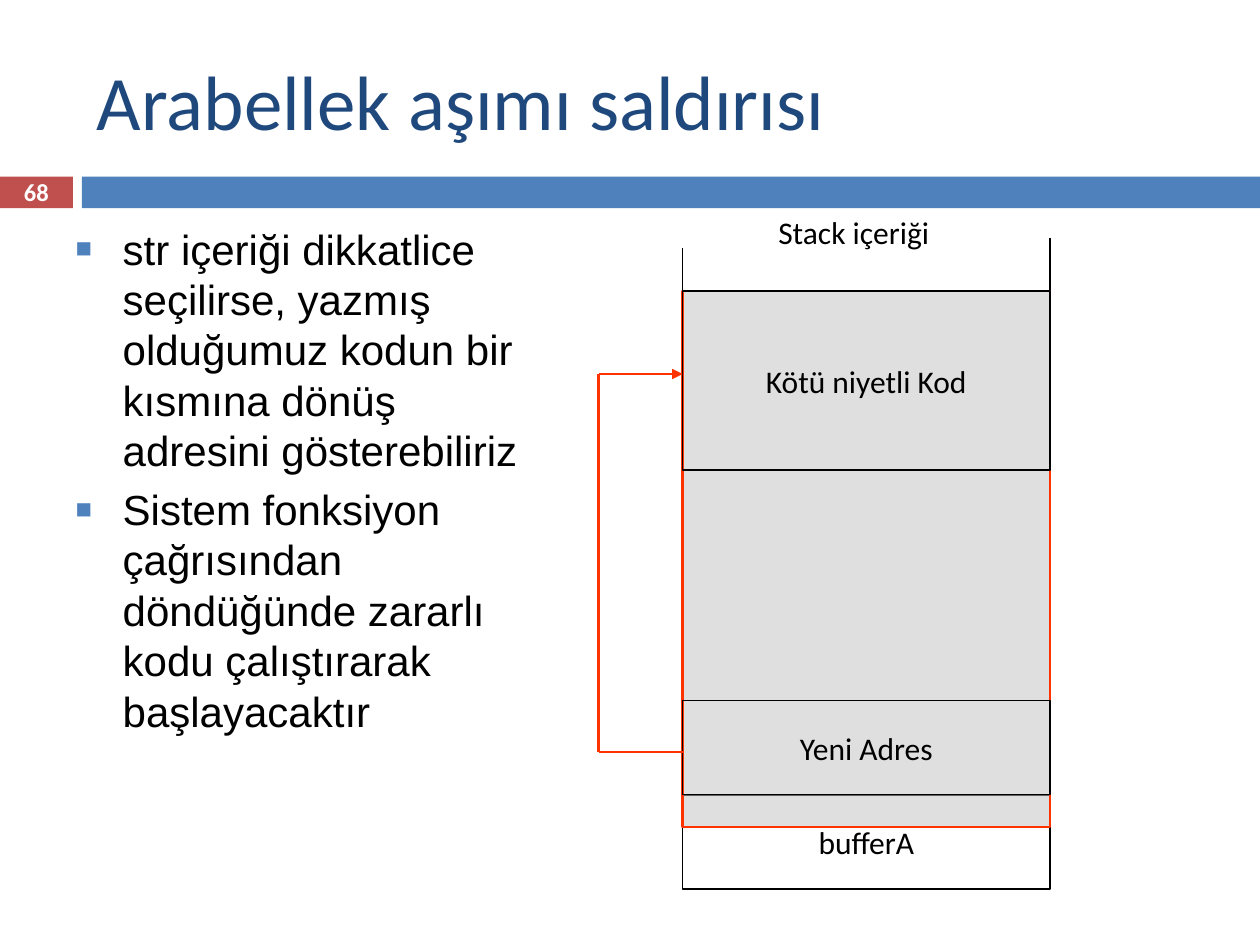
from lxml.etree import SubElement
from pptx import Presentation
from pptx.dml.color import RGBColor
from pptx.enum.shapes import MSO_CONNECTOR, MSO_SHAPE
from pptx.enum.text import MSO_ANCHOR, MSO_AUTO_SIZE, PP_ALIGN
from pptx.oxml.ns import qn
from pptx.util import Cm, Pt

BLACK = RGBColor(0x00, 0x00, 0x00)
WHITE = RGBColor(0xFF, 0xFF, 0xFF)
NAVY = RGBColor(0x1F, 0x49, 0x7D)
BLUE = RGBColor(0x4F, 0x81, 0xBD)
BRICK = RGBColor(0xC0, 0x50, 0x4D)
RED = RGBColor(0xFF, 0x33, 0x00)
GREY = RGBColor(0xC0, 0xC0, 0xC0)

TITLE = "Arabellek aşımı saldırısı"
BULLETS = [
    "str içeriği dikkatlice seçilirse, yazmış olduğumuz kodun bir "
    "kısmına dönüş adresini gösterebiliriz",
    "Sistem fonksiyon çağrısından döndüğünde zararlı kodu çalıştırarak "
    "başlayacaktır",
]
PAGE_NUMBER = "68"
STACK_LABEL = "Stack içeriği"
BUFFER = ("bufferA", 16.03, 1.9)
OVERWRITTEN = [("Kötü niyetli Kod", 5.87, 3.6), ("Yeni Adres", 14.12, 1.9)]

PAGE_WIDTH = 25.4
STACK_LEFT, STACK_WIDTH = 13.76, 7.41
STACK_RIGHT = STACK_LEFT + STACK_WIDTH
STACK_BOTTOM = BUFFER[1] + BUFFER[2]
FLOOD_TOP, FLOOD_HEIGHT = 5.87, 10.8
JUMP_LEFT, JUMP_TOP, JUMP_BOTTOM = 12.07, 7.54, 15.16

STACK_EDGES = [
    (STACK_LEFT, STACK_BOTTOM, STACK_RIGHT, STACK_BOTTOM),
    (STACK_LEFT, 5.0, STACK_LEFT, STACK_BOTTOM),
    (STACK_RIGHT, 4.8, STACK_RIGHT, STACK_BOTTOM),
]
JUMP_LINES = [
    (STACK_LEFT, JUMP_BOTTOM, JUMP_LEFT, JUMP_BOTTOM),
    (JUMP_LEFT, JUMP_BOTTOM, JUMP_LEFT, JUMP_TOP),
    (JUMP_LEFT, JUMP_TOP, STACK_LEFT, JUMP_TOP),
]


def place(shape, left, top, width, height):
    shape.left, shape.top = Cm(left), Cm(top)
    shape.width, shape.height = Cm(width), Cm(height)


def write(para, text, size, color, font="Calibri", align=PP_ALIGN.LEFT, bold=False):
    para.text = text
    para.alignment = align
    para.font.name = font
    para.font.size = Pt(size)
    para.font.bold = bold
    para.font.color.rgb = color


def add_text(page, text, place_at, size, color, **style):
    box = page.shapes.add_textbox(*map(Cm, place_at))
    box.text_frame.word_wrap = True
    box.text_frame.vertical_anchor = MSO_ANCHOR.MIDDLE
    write(box.text_frame.paragraphs[0], text, size, color, **style)


def add_rectangle(page, left, top, width, height, fill=None, line=None, points=1):
    box = page.shapes.add_shape(
        MSO_SHAPE.RECTANGLE, Cm(left), Cm(top), Cm(width), Cm(height))
    box.shadow.inherit = False
    if fill is None:
        box.fill.background()
    else:
        box.fill.solid()
        box.fill.fore_color.rgb = fill
    if line is None:
        box.line.fill.background()
    else:
        box.line.color.rgb = line
        box.line.width = Pt(points)
    return box


def add_cell(page, text, top, height):
    box = add_rectangle(page, STACK_LEFT, top, STACK_WIDTH, height, line=BLACK)
    box.text_frame.word_wrap = False
    box.text_frame.vertical_anchor = MSO_ANCHOR.MIDDLE
    write(box.text_frame.paragraphs[0], text, 18, BLACK, align=PP_ALIGN.CENTER)


def add_line(page, ends, color, points):
    line = page.shapes.add_connector(MSO_CONNECTOR.STRAIGHT, *map(Cm, ends))
    line.line.color.rgb = color
    line.line.width = Pt(points)
    SubElement(line._element.spPr, qn("a:effectLst"))
    return line


def add_bullet(para):
    properties = para._p.get_or_add_pPr()
    properties.set("marL", str(Cm(0.95)))
    properties.set("indent", str(-Cm(0.95)))
    color = SubElement(properties, qn("a:buClr"))
    SubElement(color, qn("a:srgbClr"), val=str(BLUE))
    SubElement(properties, qn("a:buSzPct"), val="65000")
    SubElement(properties, qn("a:buFont"), typeface="Arial")
    SubElement(properties, qn("a:buChar"), char="■")


def fill_placeholders(page):
    title = page.shapes.title
    place(title, 1.7, 0.64, 22.66, 2.74)
    title.text_frame.auto_size = MSO_AUTO_SIZE.NONE
    title.text_frame.vertical_anchor = MSO_ANCHOR.MIDDLE
    write(title.text_frame.paragraphs[0], TITLE, 44, NAVY)

    body = page.placeholders[1]
    place(body, 1.27, 4.37, 9.53, 12.09)
    frame = body.text_frame
    frame.auto_size = MSO_AUTO_SIZE.NONE
    for index, text in enumerate(BULLETS):
        para = frame.add_paragraph() if index else frame.paragraphs[0]
        add_bullet(para)
        write(para, text, 24, BLACK, font="Arial")
        para.line_spacing = Pt(28.8)
        para.space_before = Pt(4.8 if index else 0)


def draw_stack(page):
    add_cell(page, *BUFFER)
    for ends in STACK_EDGES:
        add_line(page, ends, BLACK, 1)
    add_text(page, STACK_LABEL, (15.44, 4.17, 5.51, 1.02), 18, BLACK)

    flood = add_rectangle(page, STACK_LEFT, FLOOD_TOP, STACK_WIDTH, FLOOD_HEIGHT,
                          fill=GREY, line=RED, points=1.5)
    tint = flood.fill._xPr.find(qn("a:solidFill"))[0]
    SubElement(tint, qn("a:alpha"), val="50000")

    for cell in OVERWRITTEN:
        add_cell(page, *cell)
    for ends in JUMP_LINES:
        jump = add_line(page, ends, RED, 1.5)
    SubElement(jump.line._get_or_add_ln(), qn("a:tailEnd"), type="triangle")


def main():
    deck = Presentation()
    deck.slide_width, deck.slide_height = Cm(PAGE_WIDTH), Cm(19.05)
    page = deck.slides.add_slide(deck.slide_layouts[1])
    add_rectangle(page, 0, 3.56, 1.47, 0.64, fill=BRICK)
    add_rectangle(page, 1.65, 3.56, PAGE_WIDTH - 1.65, 0.64, fill=BLUE)
    fill_placeholders(page)
    draw_stack(page)
    add_text(page, PAGE_NUMBER, (0, 3.53, 1.47, 0.69), 14, WHITE,
             align=PP_ALIGN.CENTER, bold=True)
    deck.save("out.pptx")


if __name__ == "__main__":
    main()
